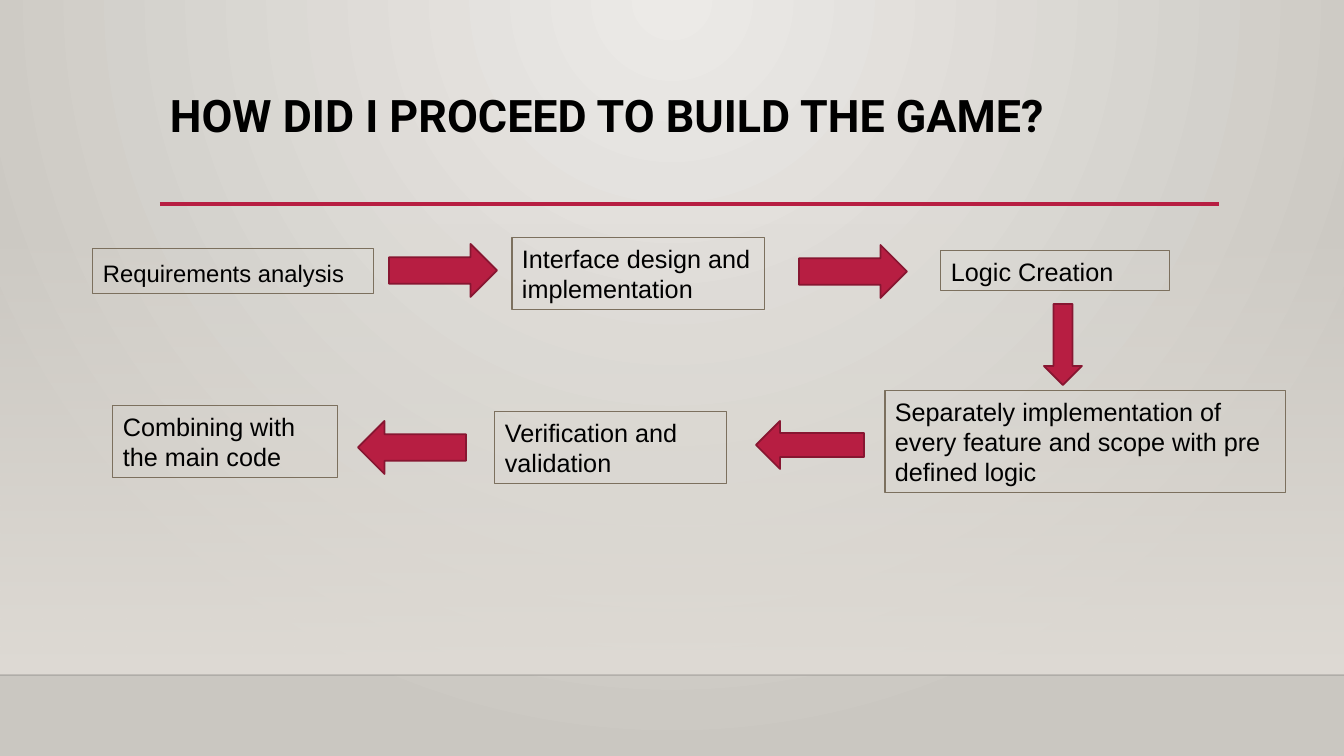
"""Build the slide on the steps taken to build the game."""
from dataclasses import dataclass

from lxml.etree import SubElement
from pptx import Presentation
from pptx.dml.color import RGBColor
from pptx.dml.fill import FillFormat
from pptx.enum.shapes import MSO_CONNECTOR, MSO_SHAPE as Preset
from pptx.enum.text import MSO_ANCHOR as Anchor, MSO_AUTO_SIZE as AutoSize, PP_ALIGN as Align
from pptx.oxml.ns import qn
from pptx.shapes.autoshape import Shape
from pptx.shapes.connector import Connector
from pptx.slide import Slide
from pptx.util import Emu, Pt

WIDTH, HEIGHT = 1344, 756
SCALE = 12192000 / WIDTH
FLOOR = 675
COLORS = {
    "glow": "ECEAE7",
    "edge": "CAC7C1",
    "wall": "DFDBD5",
    "seam": "000001",
    "accent": "B71E42",
    "arrow_edge": "871631",
    "step_edge": "7C705E",
    "text": "000000",
}


@dataclass(frozen=True)
class Area:
    left: int
    top: int
    width: int
    height: int


@dataclass(frozen=True)
class Step:
    area: Area
    text: str
    size: int = 18
    spacing: float = 1.0
    anchor: Anchor = Anchor.TOP
    autosize: AutoSize = AutoSize.SHAPE_TO_FIT_TEXT


@dataclass(frozen=True)
class Arrow:
    area: Area
    preset: Preset = Preset.RIGHT_ARROW
    rotation: int = 0


STEPS = [
    Step(Area(93, 249, 281, 45), "Requirements analysis", 17, 1.1, Anchor.MIDDLE, AutoSize.NONE),
    Step(Area(512, 238, 253, 72), "Interface design and implementation"),
    Step(Area(941, 251, 229, 40), "Logic Creation"),
    Step(Area(885, 391, 401, 102),
         "Separately implementation of every feature and scope with pre defined logic"),
    Step(Area(495, 412, 232, 72), "Verification and validation"),
    Step(Area(113, 406, 225, 72), "Combining with the main code"),
]
ARROWS = [
    Arrow(Area(389, 244, 108, 53)),
    Arrow(Area(799, 245, 108, 53)),
    Arrow(Area(1044, 304, 38, 81), Preset.DOWN_ARROW),
    Arrow(Area(756, 421, 108, 48), rotation=180),
    Arrow(Area(358, 421, 108, 53), rotation=180),
]


def px(length: int) -> Emu:
    return Emu(round(length * SCALE))


def color(name: str) -> RGBColor:
    return RGBColor.from_string(COLORS[name])


def set_alpha(parent, percent: int) -> None:
    tone = next(parent.iter(qn("a:srgbClr")))
    SubElement(tone, qn("a:alpha"), val=str(percent * 1000))


def set_gradient(fill: FillFormat, start: str, end: str) -> None:
    fill.gradient()
    for stop, name, position in zip(fill.gradient_stops, (start, end), (0, 1)):
        stop.color.rgb = color(name)
        stop.position = position


def paint_background(slide: Slide) -> None:
    set_gradient(slide.background.fill, "glow", "edge")
    gradient = next(slide.element.iter(qn("a:gradFill")))
    gradient.remove(gradient.find(qn("a:lin")))
    radial = SubElement(gradient, qn("a:path"), {"path": "circle"})
    SubElement(radial, qn("a:fillToRect"), l="43000", t="0", r="43000", b="100000")


def add_preset(slide: Slide, preset: Preset, area: Area) -> Shape:
    shape = slide.shapes.add_shape(
        preset, px(area.left), px(area.top), px(area.width), px(area.height))
    shape.shadow.inherit = False
    return shape


def add_wall(slide: Slide) -> None:
    wall = add_preset(slide, Preset.RECTANGLE, Area(0, 223, WIDTH, FLOOR - 223))
    wall.line.fill.background()
    set_gradient(wall.fill, "wall", "wall")
    wall.fill.gradient_angle = 270
    set_alpha(next(wall.element.iter(qn("a:gs"))), 0)


def add_rule(slide: Slide, left: int, right: int, y: int, name: str, weight: float) -> Connector:
    rule = slide.shapes.add_connector(
        MSO_CONNECTOR.STRAIGHT, px(left), px(y), px(right), px(y))
    rule.line.color.rgb = color(name)
    rule.line.width = Pt(weight)
    SubElement(rule.element.spPr, qn("a:effectLst"))
    return rule


def write_text(holder: Shape, text: str, face: str, size: int, spacing: float,
               anchor: Anchor, bold: bool = False) -> None:
    frame = holder.text_frame
    frame.word_wrap = True
    frame.vertical_anchor = anchor
    paragraph = frame.paragraphs[0]
    paragraph.alignment = Align.LEFT
    paragraph.line_spacing = spacing
    run = paragraph.add_run()
    run.text = text
    run.font.name = face
    run.font.size = Pt(size)
    run.font.bold = bold
    run.font.color.rgb = color("text")


def add_title(slide: Slide) -> None:
    title = slide.shapes.add_textbox(px(160), px(89), px(1058), px(116))
    write_text(title, "HOW DID I PROCEED TO BUILD THE GAME?", "Roboto", 32, 0.9, Anchor.TOP, True)


def add_step(slide: Slide, step: Step) -> None:
    box = add_preset(slide, Preset.RECTANGLE, step.area)
    box.fill.background()
    box.line.color.rgb = color("step_edge")
    box.line.width = Pt(0.75)
    write_text(box, step.text, "Arial", step.size, step.spacing, step.anchor)
    box.text_frame.auto_size = step.autosize


def add_arrow(slide: Slide, arrow: Arrow) -> None:
    block = add_preset(slide, arrow.preset, arrow.area)
    block.rotation = arrow.rotation
    block.fill.solid()
    block.fill.fore_color.rgb = color("accent")
    block.line.color.rgb = color("arrow_edge")
    block.line.width = Pt(1.25)


def main() -> None:
    deck = Presentation()
    deck.slide_width, deck.slide_height = px(WIDTH), px(HEIGHT)
    slide = deck.slides.add_slide(deck.slide_layouts[6])
    paint_background(slide)
    add_wall(slide)
    seam = add_rule(slide, 0, WIDTH, FLOOR, "seam", 1)
    set_alpha(seam.element.spPr, 20)
    add_rule(slide, 160, 1219, 204, "accent", 2.5)
    add_title(slide)
    for step in STEPS:
        add_step(slide, step)
    for arrow in ARROWS:
        add_arrow(slide, arrow)
    deck.save("out.pptx")


if __name__ == "__main__":
    main()
